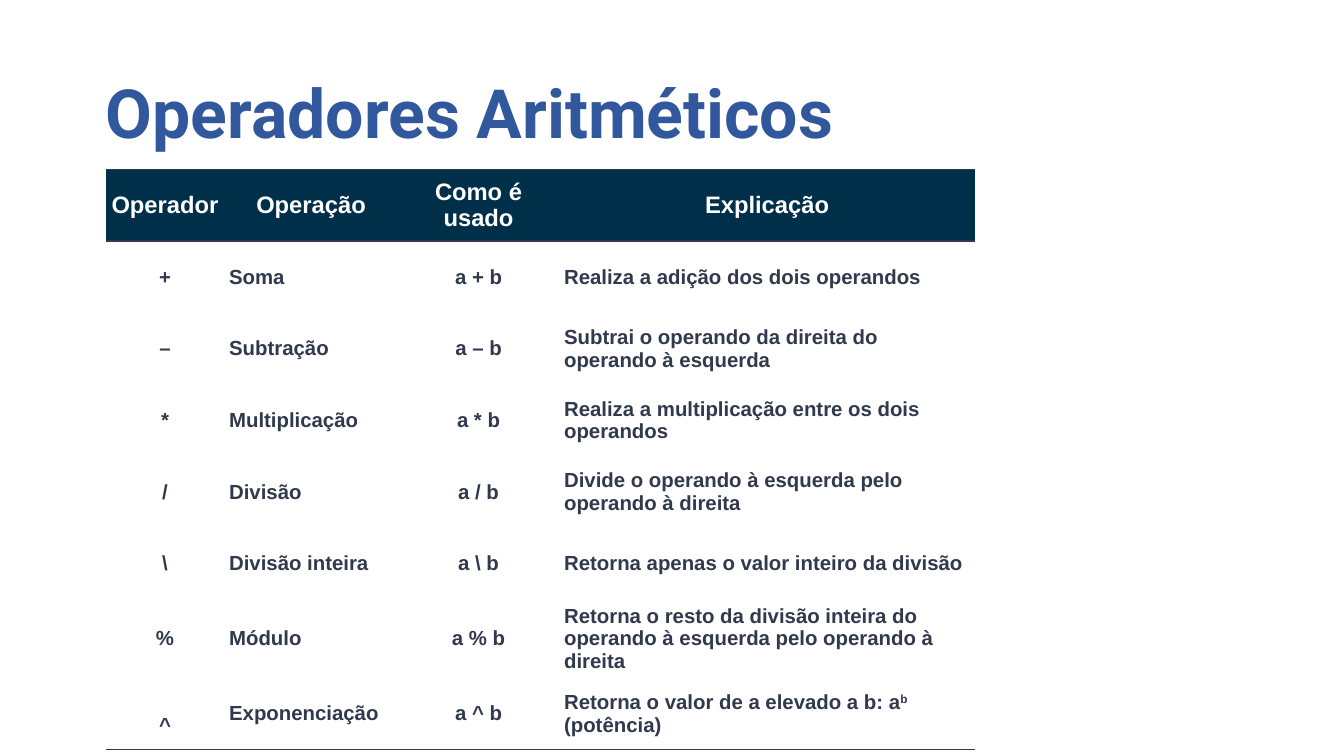
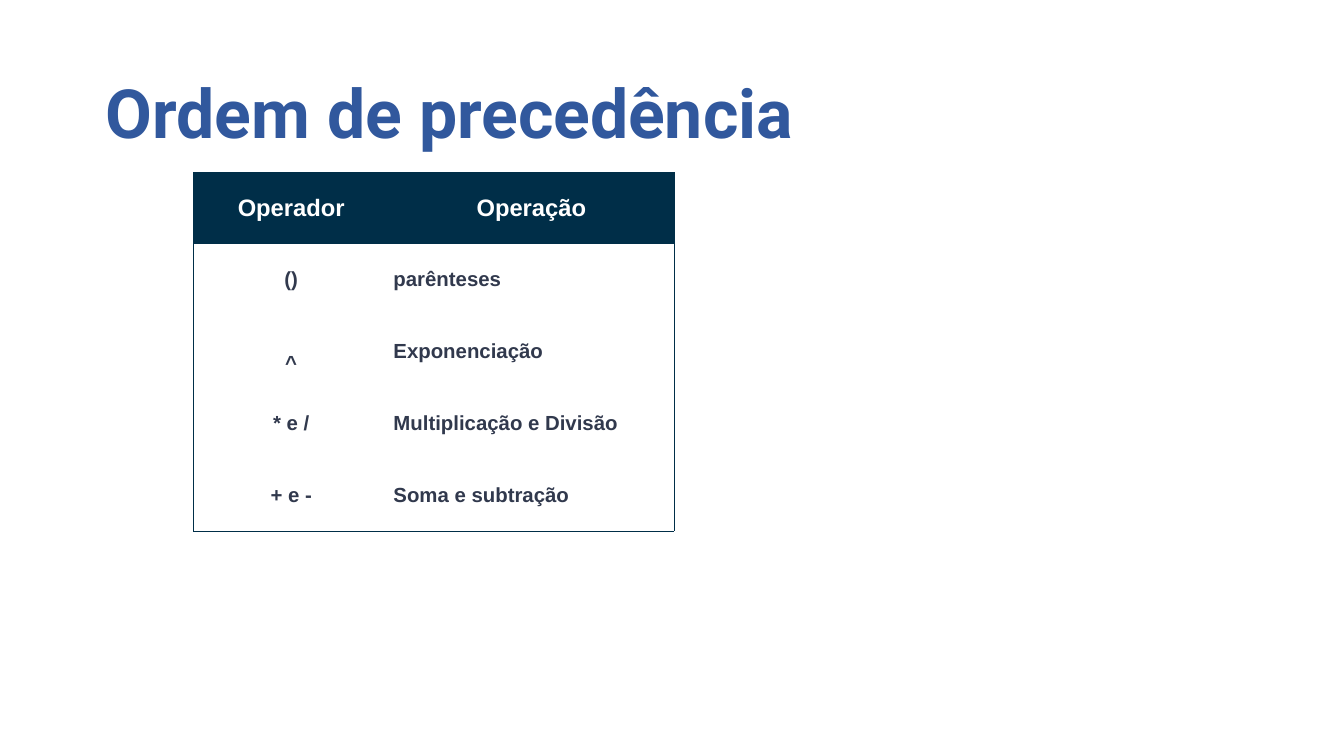
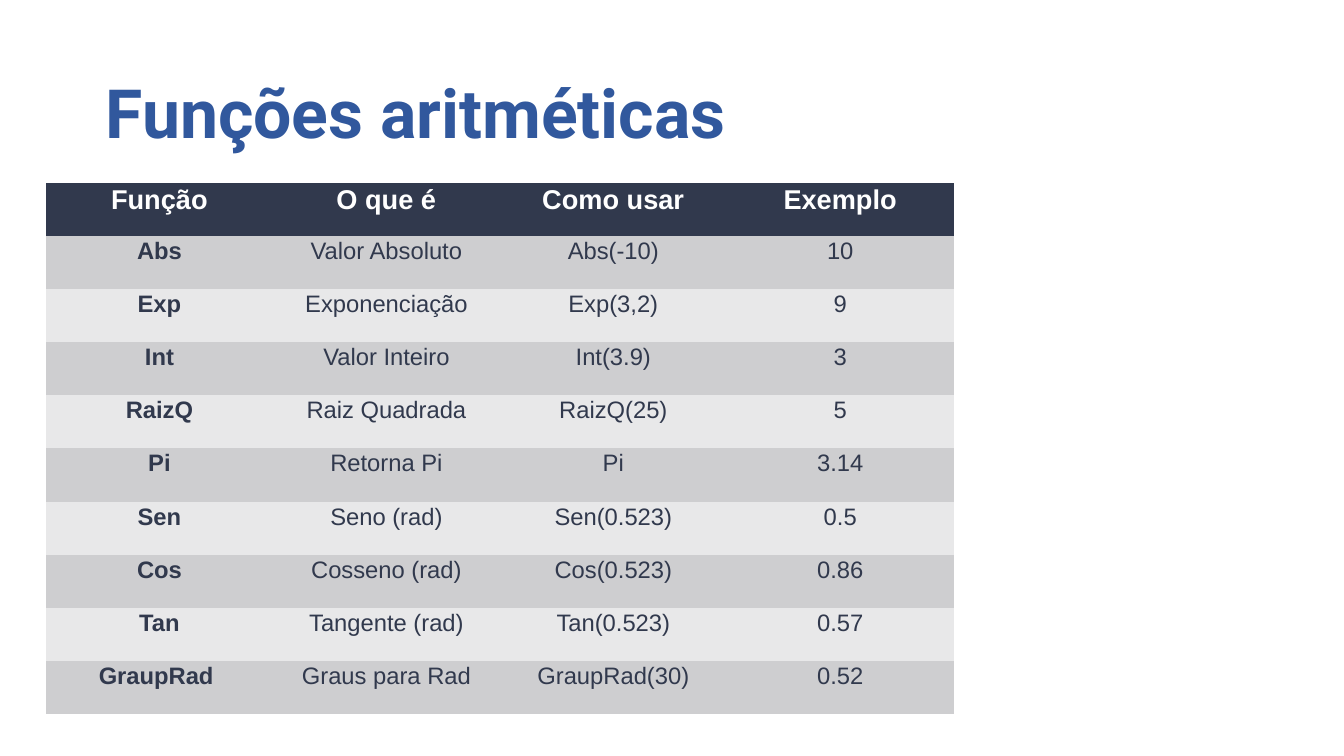
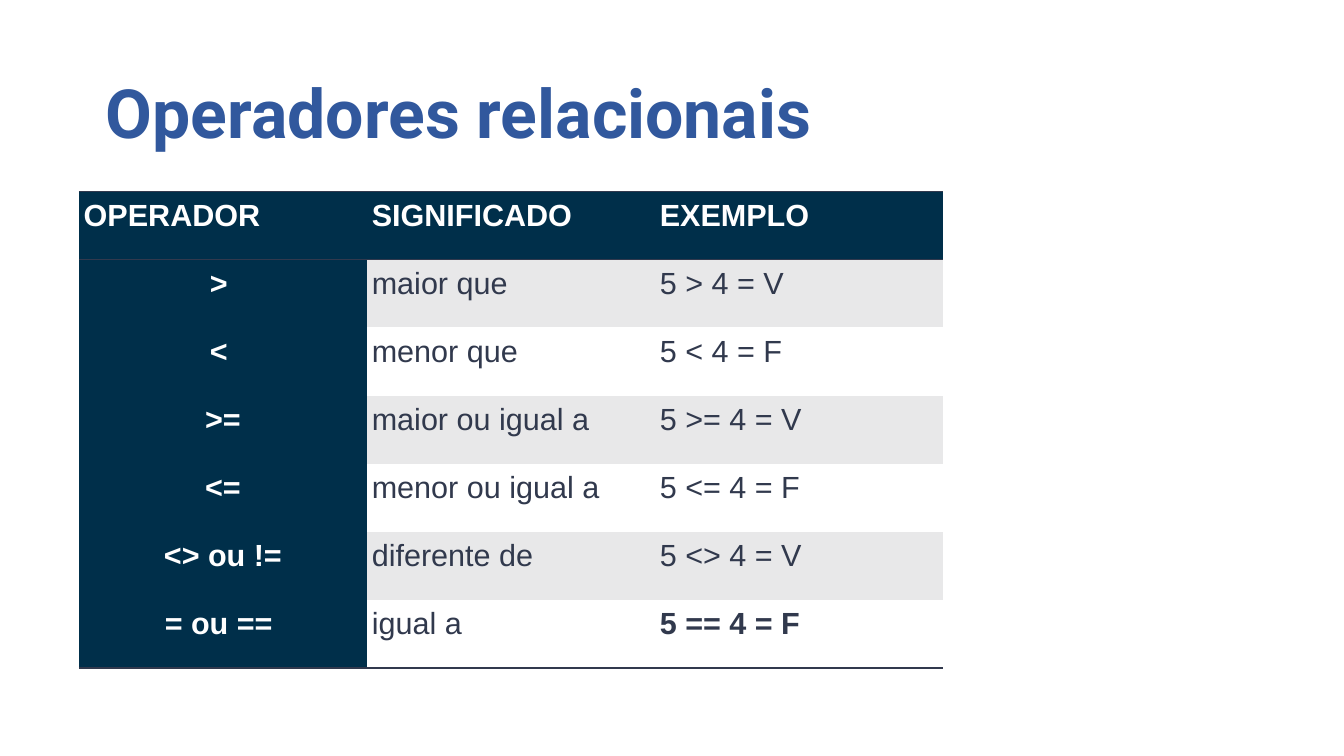
from dataclasses import dataclass

from lxml.etree import SubElement
from pptx import Presentation
from pptx.dml.color import RGBColor
from pptx.enum.text import MSO_ANCHOR, PP_ALIGN
from pptx.oxml.ns import qn
from pptx.util import Cm, Pt

BLUE = "31589D"
NAVY = "002F4A"
OUTLINE_NAVY = "002E48"
SLATE = "31394D"
GRAY = "CECED0"
PALE = "E8E8E9"
WHITE = "FFFFFF"
PLAIN_TABLE = "{2D5ABB26-0587-4C30-8999-92F81FD0307C}"
CARET_DROP = 0.97


@dataclass
class Look:
    header_fill: str
    bands: tuple
    header_size: int
    body_size: int
    aligns: str
    bold_columns: tuple
    margins: tuple
    header_align: str = "c"
    header_column: bool = False
    middle: bool = False
    spaced: bool = False
    edge: str = SLATE
    edge_width: float = 2
    ruled: bool = False
    framed: bool = False


def color(value):
    return RGBColor.from_string(value)


def add_span(para, text, font, size, ink, bold, raised=False):
    span = para.add_run()
    span.text = text
    span.font.name = font
    span.font.size = Pt(size)
    span.font.bold = bold
    span.font.color.rgb = color(ink)
    if raised:
        span.font._element.set("baseline", "30000")


def add_title(page, text):
    box = page.shapes.add_textbox(Cm(4.39), Cm(2.92), Cm(44.86), Cm(3.45))
    frame = box.text_frame
    frame.word_wrap = True
    frame.margin_left = frame.margin_right = frame.margin_bottom = 0
    frame.margin_top = Cm(0.03)
    add_span(frame.paragraphs[0], text, "Roboto", 80, BLUE, True)


def set_edges(cell, sides, look):
    properties = cell._tc.get_or_add_tcPr()
    for side in "LRTB":
        if side in sides:
            line = SubElement(properties, qn(f"a:ln{side}"), w=str(Pt(look.edge_width)))
            fill = SubElement(line, qn("a:solidFill"))
            SubElement(fill, qn("a:srgbClr"), val=look.edge)


def edge_sides(row, column, last_row, last_column, look):
    sides = ""
    if look.ruled:
        sides += "T" if row == 0 else ""
        sides += "B" if row in (0, last_row) else ""
    if look.framed:
        sides += "T" if row == 0 else ""
        sides += "B" if row == last_row else ""
        sides += "L" if column == 0 else ""
        sides += "R" if column == last_column else ""
    return sides


def fill_cell(cell, content, row, column, look):
    header = row == 0
    inverted = header or (look.header_column and column == 0)
    backdrop = look.header_fill if inverted else look.bands[(row - 1) % len(look.bands)]
    cell.fill.solid()
    cell.fill.fore_color.rgb = color(backdrop)
    side, top = look.margins
    cell.margin_left = cell.margin_right = Cm(side)
    cell.margin_top = Cm(top + CARET_DROP if content == "^" else top)
    cell.margin_bottom = Cm(top)
    cell.vertical_anchor = MSO_ANCHOR.MIDDLE if look.middle else MSO_ANCHOR.TOP

    para = cell.text_frame.paragraphs[0]
    align = look.header_align if header else look.aligns[column]
    para.alignment = PP_ALIGN.CENTER if align == "c" else PP_ALIGN.LEFT
    if look.spaced:
        para.line_spacing = 1.07
        para.space_after = Pt(8)
    size = look.header_size if header else look.body_size
    ink = WHITE if inverted else SLATE
    bold = header or column in look.bold_columns
    pieces = (content,) if isinstance(content, str) else content
    for index, piece in enumerate(pieces):
        add_span(para, piece, "Arial", size, ink, bold, raised=index % 2 == 1)


def add_grid(page, left, top, widths, row_height, rows, look):
    frame = page.shapes.add_table(
        len(rows), len(widths), Cm(left), Cm(top),
        Cm(sum(widths)), Cm(row_height * len(rows)))
    table = frame.table
    table._tbl.tblPr.find(qn("a:tableStyleId")).text = PLAIN_TABLE
    table.first_row = table.horz_banding = False
    for column, width in zip(table.columns, widths):
        column.width = Cm(width)
    for row, contents in enumerate(rows):
        table.rows[row].height = Cm(row_height)
        for column, content in enumerate(contents):
            cell = table.cell(row, column)
            sides = edge_sides(row, column, len(rows) - 1, len(widths) - 1, look)
            set_edges(cell, sides, look)
            fill_cell(cell, content, row, column, look)
    return table


def add_page(deck, title):
    page = deck.slides.add_slide(deck.slide_layouts[6])
    add_title(page, title)
    return page


def add_arithmetic_operators(deck):
    page = add_page(deck, "Operadores Aritméticos")
    rows = [
        ("Operador", "Operação", "Como é usado", "Explicação"),
        ("+", "Soma", "a + b", "Realiza a adição dos dois operandos"),
        ("–", "Subtração", "a – b", "Subtrai o operando da direita do operando à esquerda"),
        ("*", "Multiplicação", "a * b", "Realiza a multiplicação entre os dois operandos"),
        ("/", "Divisão", "a / b", "Divide o operando à esquerda pelo operando à direita"),
        ("\\", "Divisão inteira", "a \\ b", "Retorna apenas o valor inteiro da divisão"),
        ("%", "Módulo", "a % b",
         "Retorna o resto da divisão inteira do operando à esquerda pelo operando à direita"),
        ("^", "Exponenciação", "a ^ b",
         ("Retorna o valor de a elevado a b: a", "b", " (potência)")),
    ]
    look = Look(NAVY, (WHITE,), 28, 24, "clcl", (0, 1, 2, 3), (0.2, 0.1),
                middle=True, ruled=True)
    add_grid(page, 4.39, 7.04, (4.93, 7.21, 6.71, 17.27), 2.98, rows, look)


def add_precedence(deck):
    page = add_page(deck, "Ordem de precedência")
    rows = [
        ("Operador", "Operação"),
        ("()", "parênteses"),
        ("^", "Exponenciação"),
        ("* e /", "Multiplicação e Divisão"),
        ("+ e -", "Soma e subtração"),
    ]
    look = Look(OUTLINE_NAVY, (WHITE,), 28, 24, "cl", (0, 1), (0.2, 0.1),
                middle=True, framed=True, edge=OUTLINE_NAVY, edge_width=0.75)
    add_grid(page, 8.05, 7.16, (8.1, 11.86), 2.98, rows, look)


def add_functions(deck):
    page = add_page(deck, "Funções aritméticas")
    rows = [
        ("Função", "O que é", "Como usar", "Exemplo"),
        ("Abs", "Valor Absoluto", "Abs(-10)", "10"),
        ("Exp", "Exponenciação", "Exp(3,2)", "9"),
        ("Int", "Valor Inteiro", "Int(3.9)", "3"),
        ("RaizQ", "Raiz Quadrada", "RaizQ(25)", "5"),
        ("Pi", "Retorna Pi", "Pi", "3.14"),
        ("Sen", "Seno (rad)", "Sen(0.523)", "0.5"),
        ("Cos", "Cosseno (rad)", "Cos(0.523)", "0.86"),
        ("Tan", "Tangente (rad)", "Tan(0.523)", "0.57"),
        ("GraupRad ", "Graus para Rad", "GraupRad(30)", "0.52"),
    ]
    look = Look(SLATE, (GRAY, PALE), 32, 28, "cccc", (0,), (0.18, 0), spaced=True)
    add_grid(page, 1.91, 7.59, (9.43,) * 4, 2.21, rows, look)


def add_relational_operators(deck):
    page = add_page(deck, "Operadores relacionais")
    rows = [
        ("OPERADOR", "SIGNIFICADO", "EXEMPLO"),
        ("> ", "maior que", "5 > 4 = V"),
        ("< ", "menor que", "5 < 4 = F"),
        (">=", "maior ou igual a", "5 >= 4 = V"),
        ("<=", "menor ou igual a", "5 <= 4 = F"),
        ("<> ou !=", "diferente de", "5 <> 4 = V"),
        ("= ou == ", "igual a", "5 == 4 = F"),
    ]
    look = Look(NAVY, (PALE, WHITE), 36, 36, "cll", (0,), (0.2, 0.2),
                header_align="l", header_column=True, spaced=True, ruled=True)
    table = add_grid(page, 3.28, 7.95, (11.97,) * 3, 2.83, rows, look)
    table.cell(len(rows) - 1, 2).text_frame.paragraphs[0].runs[0].font.bold = True


def main():
    deck = Presentation()
    deck.slide_width = Cm(55.85)
    deck.slide_height = Cm(31.42)
    add_arithmetic_operators(deck)
    add_precedence(deck)
    add_functions(deck)
    add_relational_operators(deck)
    deck.save("out.pptx")


if __name__ == "__main__":
    main()
